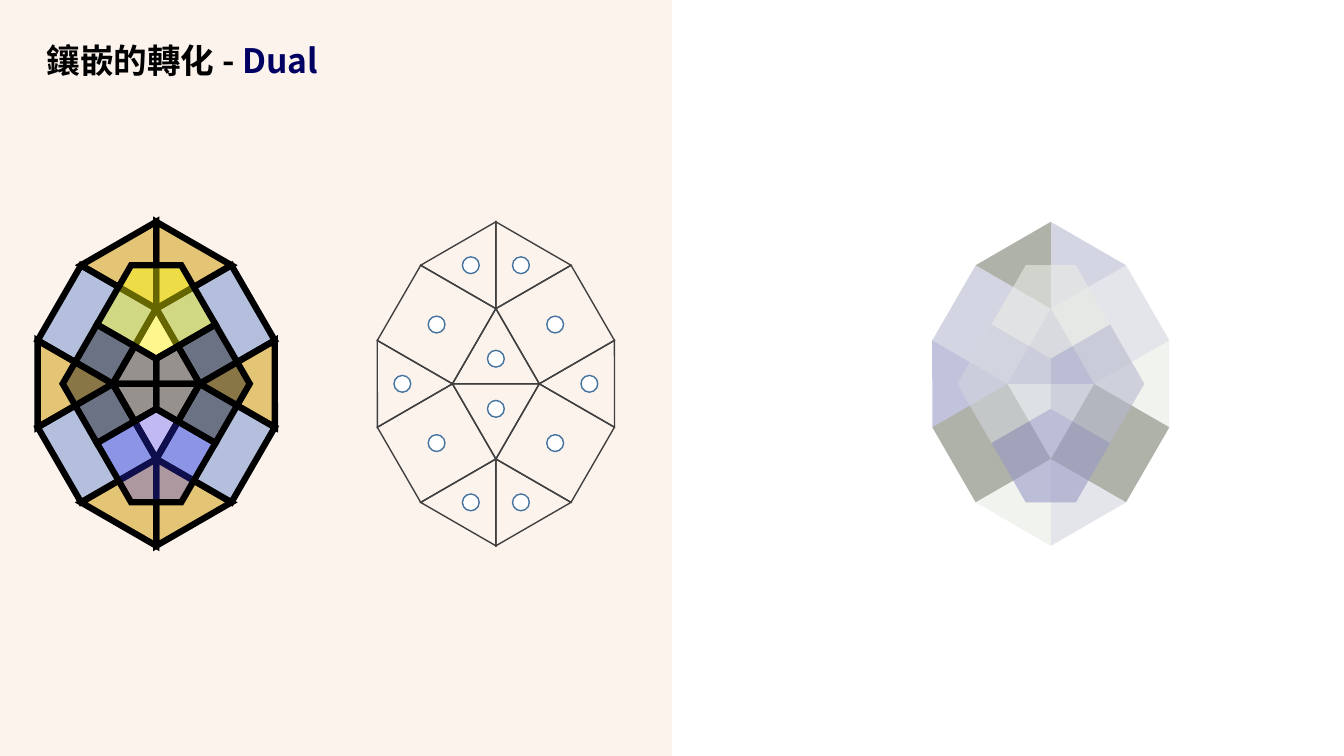
from math import cos, radians, sin, sqrt

from lxml import etree
from pptx import Presentation
from pptx.dml.color import RGBColor
from pptx.enum.shapes import MSO_CONNECTOR, MSO_SHAPE
from pptx.enum.text import MSO_ANCHOR, MSO_AUTO_SIZE, PP_ALIGN
from pptx.oxml.ns import qn
from pptx.util import Pt

RECT, TRI, OVAL = MSO_SHAPE.RECTANGLE, MSO_SHAPE.ISOSCELES_TRIANGLE, MSO_SHAPE.OVAL
STRAIGHT = MSO_CONNECTOR.STRAIGHT


class Theme:
    font, size = "Noto Sans CJK SC", 24
    black, navy, white = "000000", "000063", "FFFFFF"
    # Fills and lines are (colour, opacity) and (colour, width)
    panel, rim = ("F4B183", 14), ("FBE5D6", 0.25)
    blue, gold = ("4472C4", 40), ("CC9900", 50)
    bold, thin, ring = (black, 4.5), ("404040", 1), ("43739E", 1)
    lilac, mist, ash = ("999AC6", 60), ("B8BACF", 60), ("D2D5DD", 60)
    pale, moss = ("E8EBE4", 60), ("798071", 60)
    glass = [("FFFF00", 40), (black, 40), ("3333FF", 30), (black, 40)]


def fade(node, share):
    color = next(node.iter(qn("a:srgbClr")))
    etree.SubElement(color, qn("a:alpha"), val=str(share * 1000))


def paint(shape, fill, edge):
    shape.shadow.inherit = False
    if fill:
        shape.fill.solid()
        shape.fill.fore_color.rgb = RGBColor.from_string(fill[0])
        if fill[1] < 100:
            fade(shape.element.spPr.find(qn("a:solidFill")), fill[1])
    else:
        shape.fill.background()
    if edge:
        shape.line.color.rgb = RGBColor.from_string(edge[0])
        shape.line.width = Pt(edge[1])
        line = shape.element.spPr.find(qn("a:ln"))
        etree.SubElement(line, qn("a:miter"), lim="800000")
    else:
        shape.line.fill.background()


deck = Presentation()
deck.slide_width, deck.slide_height = Pt(960), Pt(540)
slide = deck.slides.add_slide(deck.slide_layouts[5])
shapes = slide.shapes

# Left panel and its rim
panel = shapes.add_shape(RECT, 0, 0, Pt(480), Pt(540))
paint(panel, Theme.panel, None)
rim = shapes.add_connector(STRAIGHT, Pt(480), Pt(540), Pt(480), 0)
rim.line.color.rgb = RGBColor.from_string(Theme.rim[0])
rim.line.width = Pt(Theme.rim[1])
fade(rim.element.spPr, 50)
etree.SubElement(rim.element.spPr, qn("a:effectLst"))

# Title, in front of the panel
title = shapes.title
rim.element.addnext(title.element)
title.left, title.top, title.width, title.height = Pt(26), Pt(28.8), Pt(428.4), Pt(31.7)
frame = title.text_frame
frame.word_wrap = False
frame.auto_size = MSO_AUTO_SIZE.NONE
frame.vertical_anchor = MSO_ANCHOR.MIDDLE
para = frame.paragraphs[0]
para.alignment = PP_ALIGN.LEFT
para.line_spacing = 0.9
para.font.name, para.font.size, para.font.bold = Theme.font, Pt(Theme.size), True
for text, color in (("鑲嵌的轉化 - ", Theme.black), ("Dual", Theme.navy)):
    run = para.add_run()
    run.text = text
    run.font.color.rgb = RGBColor.from_string(color)
for props in title.element.iter(qn("a:defRPr")):
    etree.SubElement(props, qn("a:ea"), typeface=Theme.font)

# Tiles: kind, centroid from the middle of the figure, turn
side = 62
high = side * sqrt(3) / 2
mid = 274.15
diag = side / 4 + high / 2
top = high + side / 2
inner = high / 3
wing = side / 2 + 2 * inner
tiles = [
    (RECT, -diag, -diag, 300), (RECT, diag, -diag, 60),
    (TRI, -inner, -top, 30), (TRI, inner, -top, 330),
    (TRI, 0, -inner, 0), (TRI, 0, inner, 180),
    (RECT, diag, diag, 120), (RECT, -diag, diag, 240),
    (TRI, -wing, 0, 210), (TRI, wing, 0, 150),
    (TRI, inner, top, 210), (TRI, -inner, top, 150),
]
blue, gold = Theme.blue, Theme.gold
lilac, mist, ash, pale, moss = Theme.lilac, Theme.mist, Theme.ash, Theme.pale, Theme.moss
solid = [blue, blue, gold, gold, None, None, blue, blue] + [gold] * 4
soft = [mist, ash, moss, mist, lilac, pale, moss, moss, lilac, pale, ash, pale]
figures = [(111.6, solid, Theme.bold), (354.2, [None] * 12, Theme.thin), (750.6, soft, None)]

# Three tilings
groups = []
for cx, fills, edge in figures:
    group = shapes.add_group_shape()
    groups.append(group)
    for (kind, x, y, turn), fill in zip(tiles, fills):
        tall, drop = (high, high / 6) if kind == TRI else (side, 0)
        left = cx + x + drop * sin(radians(turn)) - side / 2
        up = mid + y - drop * cos(radians(turn)) - tall / 2
        tile = group.shapes.add_shape(kind, Pt(left), Pt(up), Pt(side), Pt(tall))
        tile.rotation = turn
        paint(tile, fill, edge)

# Two struts over the lower inner triangle
cx = figures[0][0]
for x in (side / 2, -side / 2):
    strut = groups[0].shapes.add_connector(
        STRAIGHT, Pt(cx), Pt(mid + high), Pt(cx + x), Pt(mid))
    strut.line.color.rgb = RGBColor.from_string(Theme.bold[0])
    strut.line.width = Pt(Theme.bold[1])
    etree.SubElement(strut.element.spPr, qn("a:effectLst"))

# A dot at each centroid of the second tiling
dot = 12
cx = figures[1][0]
for kind, x, y, turn in tiles:
    spot = groups[1].shapes.add_shape(
        OVAL, Pt(cx + x - dot / 2), Pt(mid + y - dot / 2), Pt(dot), Pt(dot))
    paint(spot, (Theme.white, 100), Theme.ring)

# Dual pentagons join the centroids of five tiles: top, left, bottom, right
duals = [(3, 2, 0, 4, 1), (0, 4, 5, 7, 8), (10, 11, 7, 5, 6), (6, 5, 4, 1, 9)]
for (cx, fills, edge), tints in (
        (figures[0], Theme.glass), (figures[2], [pale, ash, lilac, mist])):
    group = shapes.add_group_shape()
    for dual, tint in zip(duals, tints):
        spots = [(Pt(cx + tiles[i][1]), Pt(mid + tiles[i][2])) for i in dual]
        path = group.shapes.build_freeform(*spots[0])
        path.add_line_segments(spots[1:], close=True)
        paint(path.convert_to_shape(), tint, edge)

deck.save("out.pptx")
